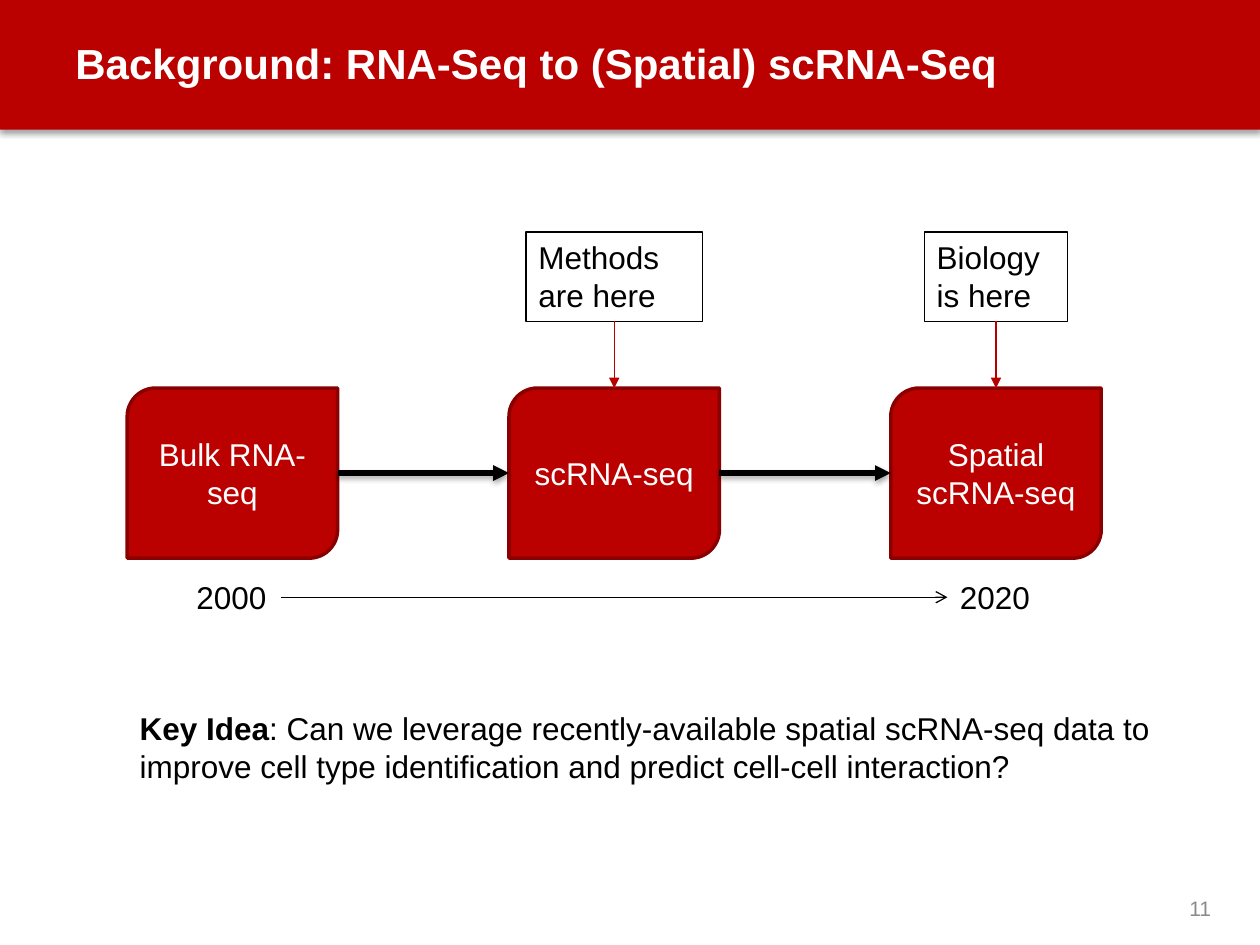
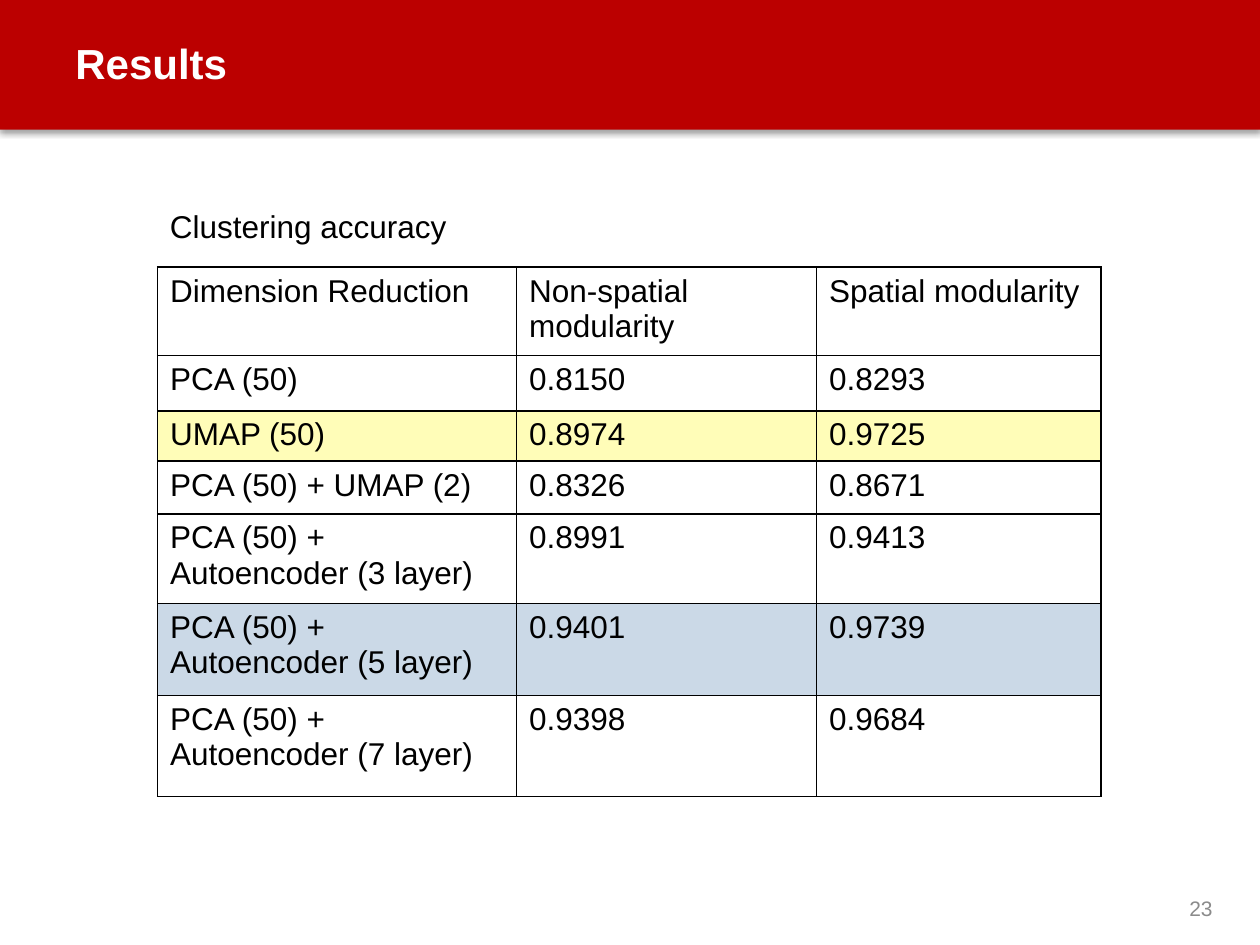
"""Build two slides on spatial single-cell RNA sequencing."""
from lxml.etree import SubElement
from pptx import Presentation
from pptx.dml.color import RGBColor
from pptx.enum.shapes import MSO_CONNECTOR, MSO_SHAPE
from pptx.enum.text import MSO_ANCHOR, PP_ALIGN
from pptx.oxml.ns import qn
from pptx.util import Inches, Pt

RED = RGBColor(0xBB, 0x00, 0x00)
DARK = RGBColor(0x8A, 0x00, 0x00)
CRIMSON = RGBColor(0xB7, 0x00, 0x00)
BLACK = RGBColor(0x00, 0x00, 0x00)
WHITE = RGBColor(0xFF, 0xFF, 0xFF)
GREY = RGBColor(0x8B, 0x8B, 0x8B)
YELLOW = RGBColor(0xFF, 0xFD, 0xB8)
BLUE = RGBColor(0xCB, 0xD9, 0xE7)
FONT = "Arial"

STAGES = ["Bulk RNA-seq", "scRNA-seq", "Spatial scRNA-seq"]
NOTES = [(1, "Methods are here", 1.4), (2, "Biology is here", 1.14)]
YEARS = [(0, "2000"), (2, "2020")]
IDEA = [
    [("Key Idea", True),
     (": Can we leverage recently-available spatial scRNA-seq data to", False)],
    [("improve cell type identification and predict cell-cell interaction?", False)],
]
SCORES = [
    ("Dimension Reduction", "Non-spatial modularity", "Spatial modularity"),
    ("PCA (50)", "0.8150", "0.8293"),
    ("UMAP (50)", "0.8974", "0.9725"),
    ("PCA (50) + UMAP (2)", "0.8326", "0.8671"),
    ("PCA (50) +\nAutoencoder (3 layer)", "0.8991", "0.9413"),
    ("PCA (50) +\nAutoencoder (5 layer)", "0.9401", "0.9739"),
    ("PCA (50) +\nAutoencoder (7 layer)", "0.9398", "0.9684"),
]
WIDTHS = [2.85, 2.38, 2.26]
HEIGHTS = [0.7, 0.44, 0.4, 0.42, 0.71, 0.73, 0.8]
MARKED = {2: YELLOW, 5: BLUE}

LEFT, TOP, WIDE, HIGH, STEP = 1.01, 3.08, 1.67, 1.35, 3.03
NOTE_TOP, NOTE_HIGH = 1.84, 0.71
YEAR_TOP, YEAR_WIDE, YEAR_HIGH = 4.54, 0.77, 0.4


def style(frame, size=18, color=BLACK, bold=None, align=PP_ALIGN.LEFT):
    for para in frame.paragraphs:
        para.alignment = align
        font = para.font
        font.name, font.size, font.bold = FONT, Pt(size), bold
        font.color.rgb = color


def write(slide, text, box, anchor=MSO_ANCHOR.TOP, wrap=True, **look):
    shape = slide.shapes.add_textbox(*map(Inches, box))
    frame = shape.text_frame
    frame.text, frame.word_wrap, frame.vertical_anchor = text, wrap, anchor
    style(frame, **look)
    return shape


def effect(shape, shadow):
    props = shape._element.spPr
    for old in props.findall(qn("a:effectLst")):
        props.remove(old)
    group = SubElement(props, qn("a:effectLst"))
    if shadow:
        outer = SubElement(group, qn("a:outerShdw"), blurRad="40000", dist="23000",
                           dir="5400000", rotWithShape="0")
        tint = SubElement(outer, qn("a:srgbClr"), val="000000")
        SubElement(tint, qn("a:alpha"), val="35000")


def arrow(slide, start, end, color=BLACK, width=0.75, head="triangle", shadow=False):
    line = slide.shapes.add_connector(MSO_CONNECTOR.STRAIGHT, *map(Inches, start + end))
    line.line.color.rgb, line.line.width = color, Pt(width)
    SubElement(line.line._get_or_add_ln(), qn("a:tailEnd"), type=head)
    effect(line, shadow)


def block(slide, kind, box, line=None):
    shape = slide.shapes.add_shape(kind, *map(Inches, box))
    shape.fill.solid()
    shape.fill.fore_color.rgb = RED
    if line:
        shape.line.color.rgb, shape.line.width = line, Pt(2)
    else:
        shape.line.fill.background()
    shape.shadow.inherit = False
    return shape


def start(deck, title, page):
    slide = deck.slides.add_slide(deck.slide_layouts[6])
    effect(block(slide, MSO_SHAPE.RECTANGLE, (0, 0, 10, 1.03)), True)
    write(slide, title, (0.5, 0.25, 9, 0.5), MSO_ANCHOR.MIDDLE,
          size=24, color=WHITE, bold=True)
    write(slide, page, (9.34, 6.97, 0.48, 0.39), MSO_ANCHOR.BOTTOM,
          size=12, color=GREY)
    return slide


def flow(slide):
    lefts = [LEFT + STEP * i for i in range(len(STAGES))]
    mids = [left + WIDE / 2 for left in lefts]
    for left, name in zip(lefts, STAGES):
        shape = block(slide, MSO_SHAPE.ROUND_2_DIAG_RECTANGLE, (left, TOP, WIDE, HIGH), DARK)
        shape.text_frame.text = name
        shape.text_frame.vertical_anchor = MSO_ANCHOR.MIDDLE
        style(shape.text_frame, color=WHITE, align=PP_ALIGN.CENTER)
    axis = TOP + HIGH / 2
    for left, right in zip(lefts, lefts[1:]):
        arrow(slide, (left + WIDE, axis), (right, axis), width=3, shadow=True)

    for i, text, wide in NOTES:
        box = (mids[i] - wide / 2, NOTE_TOP, wide, NOTE_HIGH)
        note = write(slide, text, box)
        note.line.color.rgb, note.line.width = BLACK, Pt(0.75)
        arrow(slide, (mids[i], NOTE_TOP + NOTE_HIGH), (mids[i], TOP), CRIMSON)

    for i, text in YEARS:
        write(slide, text, (mids[i] - YEAR_WIDE / 2, YEAR_TOP, YEAR_WIDE, YEAR_HIGH))
    level = YEAR_TOP + YEAR_HIGH / 2
    arrow(slide, (mids[0] + YEAR_WIDE / 2, level),
          (mids[-1] - YEAR_WIDE / 2, level), head="arrow")

    frame = write(slide, "", (LEFT, 5.58, 8.32, 0.71), wrap=False).text_frame
    frame.add_paragraph()
    for para, runs in zip(frame.paragraphs, IDEA):
        for text, bold in runs:
            run = para.add_run()
            run.text, run.font.bold = text, bold
    style(frame)


def border(cell):
    props = cell._tc.get_or_add_tcPr()
    for i, side in enumerate(("lnL", "lnR", "lnT", "lnB")):
        line = props.makeelement(qn("a:" + side), {"w": str(Pt(1))})
        fill = SubElement(line, qn("a:solidFill"))
        SubElement(fill, qn("a:srgbClr"), val=str(BLACK))
        props.insert(i, line)


def table(slide):
    write(slide, "Clustering accuracy", (1.25, 1.59, 2.42, 0.4), wrap=False)
    box = (1.25, 2.12, sum(WIDTHS), sum(HEIGHTS))
    grid = slide.shapes.add_table(len(SCORES), len(WIDTHS), *map(Inches, box)).table
    grid.first_row = grid.horz_banding = False
    for col, wide in zip(grid.columns, WIDTHS):
        col.width = Inches(wide)
    for i, (row, high) in enumerate(zip(grid.rows, HEIGHTS)):
        row.height = Inches(high)
        for cell, text in zip(row.cells, SCORES[i]):
            cell.text = text
            style(cell.text_frame)
            if i in MARKED:
                cell.fill.solid()
                cell.fill.fore_color.rgb = MARKED[i]
            else:
                cell.fill.background()
            border(cell)


def main():
    deck = Presentation()
    deck.slide_width, deck.slide_height = Inches(10), Inches(7.5)
    flow(start(deck, "Background: RNA-Seq to (Spatial) scRNA-Seq", "11"))
    table(start(deck, "Results", "23"))
    deck.save("out.pptx")


if __name__ == "__main__":
    main()
